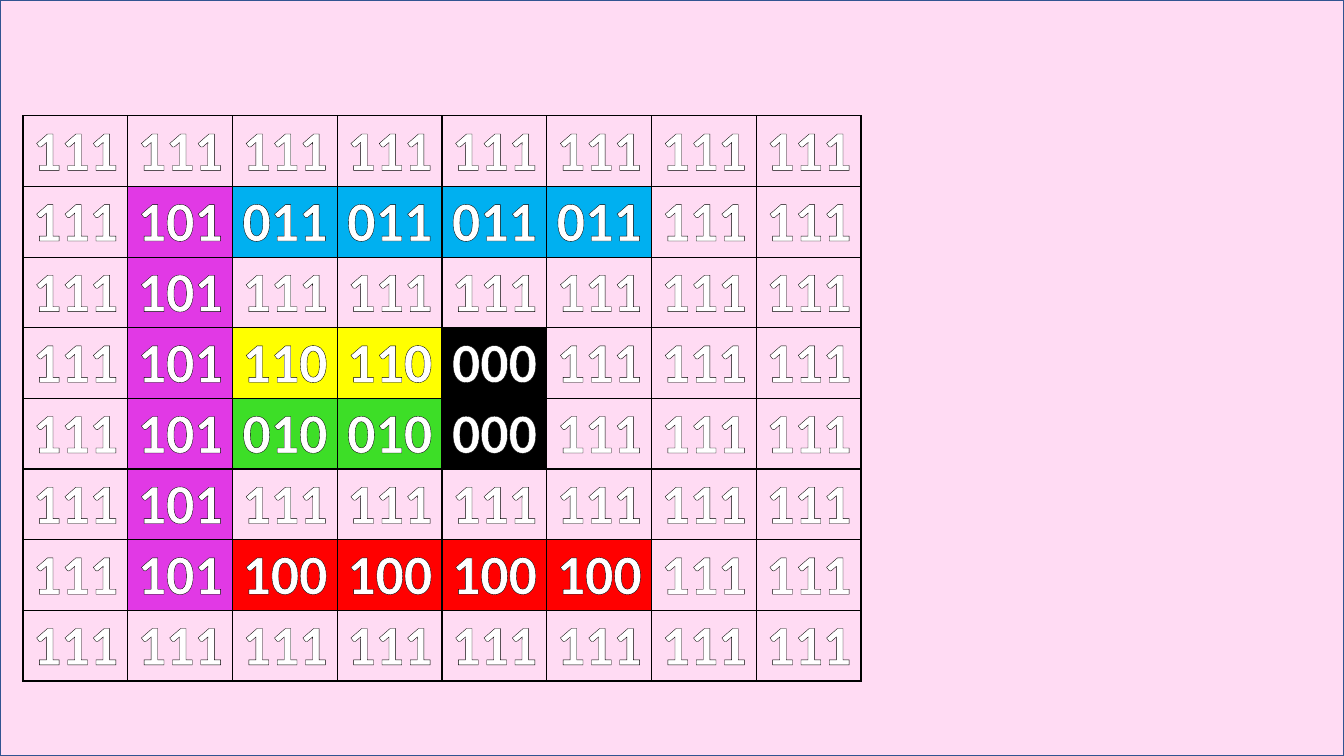
from lxml.etree import SubElement
from pptx import Presentation
from pptx.dml.color import RGBColor as RGB
from pptx.enum.shapes import MSO_SHAPE as SHAPE
from pptx.enum.text import MSO_ANCHOR as ANCHOR, PP_ALIGN as ALIGN
from pptx.oxml import parse_xml
from pptx.oxml.ns import nsdecls, qn
from pptx.util import Cm, Pt

PIXEL_ROWS = [
    "111 111 111 111 111 111 111 111",
    "111 101 011 011 011 011 111 111",
    "111 101 111 111 111 111 111 111",
    "111 101 110 110 000 111 111 111",
    "111 101 010 010 000 111 111 111",
    "111 101 111 111 111 111 111 111",
    "111 101 100 100 100 100 111 111",
    "111 111 111 111 111 111 111 111",
]

THEME = {
    "font": "Calibri",
    "code_size": 40,
    "text": "FFFFFF",
    "outline": "000000",
    "outline_width": 0.75,
    "border": "000000",
    "border_width": 1,
    "backdrop": "FF8AD8",
    "backdrop_opacity": 30,
    "frame": "325491",
    "frame_width": 1,
    # 111 has no entry: those cells stay clear
    "pixels": {"101": "E139E5", "011": "00B0F0", "110": "FFFF00",
               "000": "000000", "010": "3DDE27", "100": "FF0000"},
}

SLIDE_W, SLIDE_H = Cm(33.87), Cm(19.05)
GRID_LEFT, GRID_TOP = Cm(0.58), Cm(2.92)
CELL_W, CELL_H = Cm(2.64), Cm(1.73)
CELL_MARGIN = Cm(0.03)


def line_xml(tag, color, width):
    return parse_xml(
        f'<a:{tag} {nsdecls("a")} w="{Pt(width)}"><a:solidFill>'
        f'<a:srgbClr val="{color}"/></a:solidFill></a:{tag}>')


def put_text(tf, text, *, size, color, bold=False, align=ALIGN.CENTER, outline=None):
    p = tf.paragraphs[0]
    p.alignment = align
    r = p.add_run()
    r.text = text
    r.font.name = THEME["font"]
    r.font.size = Pt(size)
    r.font.bold = bold
    r.font.color.rgb = RGB.from_string(color)
    if outline:
        r.font._element.insert(0, line_xml("ln", outline, THEME["outline_width"]))


def add_backdrop(s):
    sp = s.shapes.add_shape(SHAPE.RECTANGLE, 0, 0, SLIDE_W, SLIDE_H)
    sp.shadow.inherit = False
    sp.fill.solid()
    sp.fill.fore_color.rgb = RGB.from_string(THEME["backdrop"])
    color = sp._element.spPr.find(qn("a:solidFill"))[0]
    SubElement(color, qn("a:alpha"), val=str(THEME["backdrop_opacity"] * 1000))
    sp.line.color.rgb = RGB.from_string(THEME["frame"])
    sp.line.width = Pt(THEME["frame_width"])


def style_cell(cell, code):
    cell.margin_left = cell.margin_right = CELL_MARGIN
    cell.margin_top = cell.margin_bottom = CELL_MARGIN
    cell.vertical_anchor = ANCHOR.MIDDLE
    tcPr = cell._tc.get_or_add_tcPr()
    for side in ("lnL", "lnR", "lnT", "lnB"):
        tcPr.append(line_xml(side, THEME["border"], THEME["border_width"]))
    fill = THEME["pixels"].get(code)
    if fill:
        cell.fill.solid()
        cell.fill.fore_color.rgb = RGB.from_string(fill)
    else:
        cell.fill.background()
    put_text(cell.text_frame, code, size=THEME["code_size"], color=THEME["text"],
             bold=True, outline=THEME["outline"])


def add_pixel_grid(s):
    codes = [row.split() for row in PIXEL_ROWS]
    n_rows, n_cols = len(codes), len(codes[0])
    table = s.shapes.add_table(n_rows, n_cols, GRID_LEFT, GRID_TOP,
                               CELL_W * n_cols, CELL_H * n_rows).table
    table.first_row = table.horz_banding = False
    for i, row in enumerate(codes):
        for j, code in enumerate(row):
            style_cell(table.cell(i, j), code)


def main():
    prs = Presentation()
    prs.slide_width, prs.slide_height = SLIDE_W, SLIDE_H
    s = prs.slides.add_slide(prs.slide_layouts[6])
    add_backdrop(s)
    add_pixel_grid(s)
    prs.save("out.pptx")


if __name__ == "__main__":
    main()
